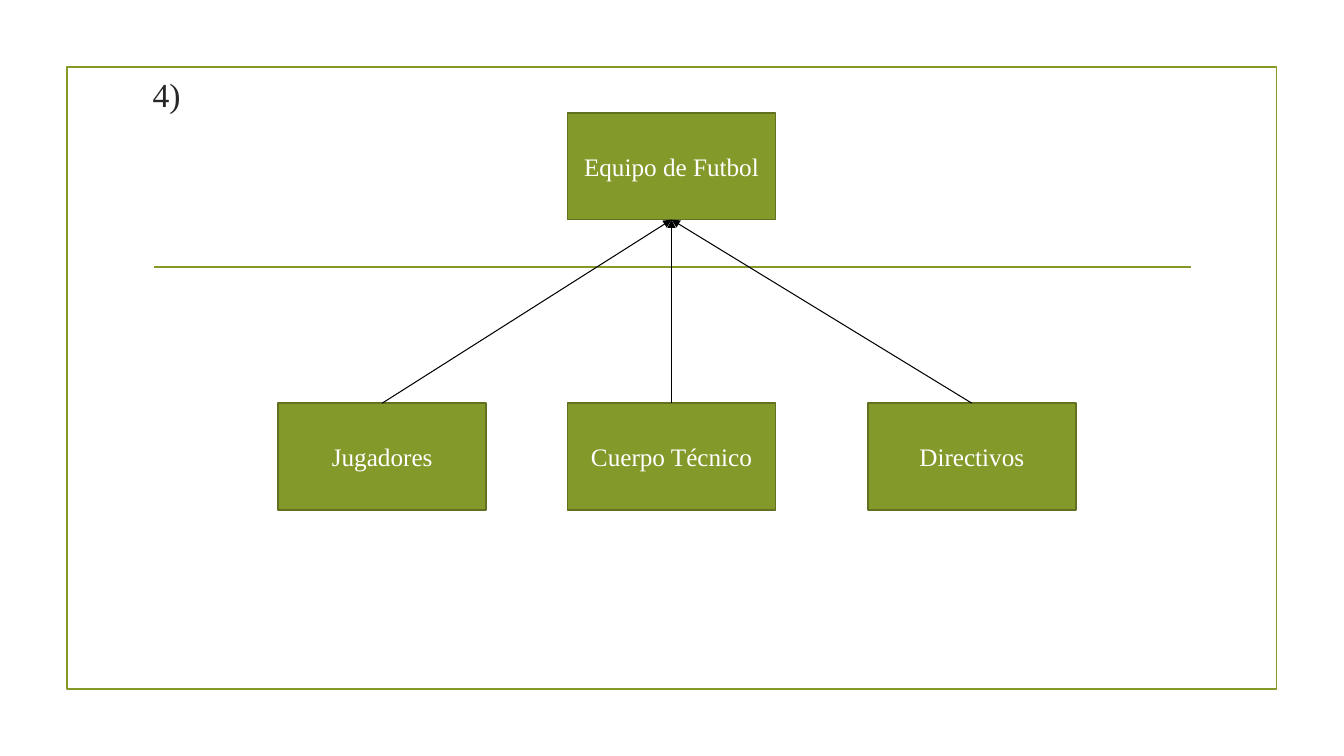
from lxml.etree import SubElement
from pptx import Presentation
from pptx.dml.color import RGBColor
from pptx.enum.shapes import MSO_CONNECTOR, MSO_SHAPE
from pptx.enum.text import MSO_ANCHOR, PP_ALIGN
from pptx.oxml.ns import qn
from pptx.util import Pt

HEADING = "4)"
TEAM = ("Equipo de Futbol", 405.4, 80.6)
MEMBERS = [
    ("Jugadores", 198.7),
    ("Cuerpo Técnico", 405.4),
    ("Directivos", 619.9),
]
MEMBER_TOP = 288
BOX_WIDTH, BOX_HEIGHT = 148.6, 76.3
FONT = "Times New Roman"
COLORS = {
    "olive": "83992A",
    "dark_olive": "61711F",
    "heading": "262626",
    "arrow": "000000",
    "white": "FFFFFF",
}


def color(name):
    return RGBColor.from_string(COLORS[name])


def write(shape, text, size, ink, alignment):
    frame = shape.text_frame
    frame.word_wrap = True
    frame.vertical_anchor = MSO_ANCHOR.MIDDLE
    paragraph = frame.paragraphs[0]
    paragraph.alignment = alignment
    run = paragraph.add_run()
    run.text = text
    run.font.name = FONT
    run.font.size = Pt(size)
    run.font.color.rgb = color(ink)


def add_rectangle(slide, left, top, width, height, outline):
    rectangle = slide.shapes.add_shape(
        MSO_SHAPE.RECTANGLE, Pt(left), Pt(top), Pt(width), Pt(height))
    rectangle.shadow.inherit = False
    rectangle.fill.background()
    rectangle.line.color.rgb = color(outline)
    rectangle.line.width = Pt(1.25)
    return rectangle


def add_box(slide, label, left, top):
    box = add_rectangle(slide, left, top, BOX_WIDTH, BOX_HEIGHT, "dark_olive")
    box.fill.solid()
    box.fill.fore_color.rgb = color("olive")
    write(box, label, 18, "white", PP_ALIGN.CENTER)
    return box


def add_line(slide, start, end, ink, width):
    line = slide.shapes.add_connector(
        MSO_CONNECTOR.STRAIGHT, *map(Pt, start + end))
    line.line.color.rgb = color(ink)
    line.line.width = Pt(width)
    SubElement(line._element.spPr, qn("a:effectLst"))
    return line


def add_arrow(slide, member, team):
    arrow = add_line(slide, (0, 0), (0, 0), "arrow", 0.75)
    arrow.begin_connect(member, 0)
    arrow.end_connect(team, 2)
    SubElement(arrow.line._get_or_add_ln(), qn("a:tailEnd"), type="triangle")


def main():
    deck = Presentation()
    deck.slide_width, deck.slide_height = Pt(960), Pt(540)
    slide = deck.slides.add_slide(deck.slide_layouts[6])

    add_rectangle(slide, 47.8, 48, 864, 444, "olive")
    add_line(slide, (110, 190.8), (850.5, 190.8), "olive", 1.25)
    heading = slide.shapes.add_textbox(Pt(102), Pt(16), Pt(756), Pt(103))
    write(heading, HEADING, 24, "heading", PP_ALIGN.JUSTIFY)

    team = add_box(slide, *TEAM)
    members = [add_box(slide, label, left, MEMBER_TOP)
               for label, left in MEMBERS]
    for member in members:
        add_arrow(slide, member, team)

    deck.save("out.pptx")


if __name__ == "__main__":
    main()
